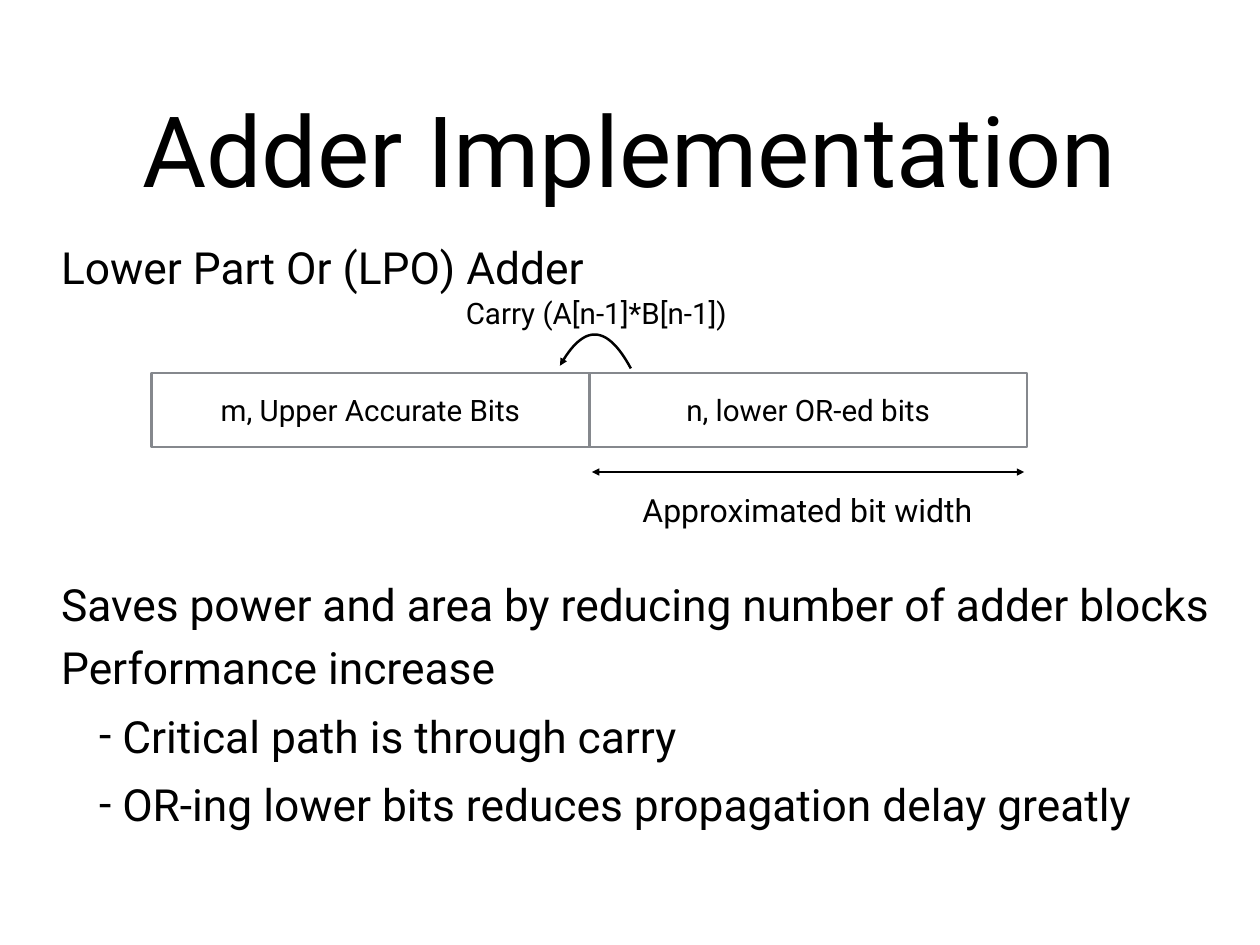
from lxml import etree
from pptx import Presentation
from pptx.dml.color import RGBColor
from pptx.enum.shapes import MSO_CONNECTOR, MSO_SHAPE
from pptx.enum.text import MSO_ANCHOR, MSO_AUTO_SIZE, PP_ALIGN
from pptx.oxml.ns import qn
from pptx.util import Inches, Pt

RECT, LINE = MSO_SHAPE.RECTANGLE, MSO_CONNECTOR.STRAIGHT
LEFT, MID = PP_ALIGN.LEFT, PP_ALIGN.CENTER
TOP, CENTER = MSO_ANCHOR.TOP, MSO_ANCHOR.MIDDLE
FIXED = MSO_AUTO_SIZE.NONE
WIDE, HIGH = Inches(14.22), Inches(10.67)


def color(code):
    return RGBColor.from_string(code)


class Page:
    """Style and current slide; lengths are in a grid of 100 columns by 100 rows."""
    font, ink, edge = "Roboto", "000000", "85888D"
    inset, weight = Inches(0.06), Pt(2)

    def __init__(self, deck):
        self.slide = deck.slides.add_slide(deck.slide_layouts[1])
        self.shapes = self.slide.shapes

    def col(self, n):
        return round(WIDE * n / 100)

    def row(self, n):
        return round(HIGH * n / 100)

    def box(self, x, y, w, h):
        return self.col(x), self.row(y), self.col(w), self.row(h)

    def move(self, shape, area):
        shape.left, shape.top, shape.width, shape.height = self.box(*area)

    def frame(self, shape, anchor=CENTER, wrap=True):
        frame = shape.text_frame
        frame.auto_size, frame.word_wrap = FIXED, wrap
        frame.vertical_anchor = anchor
        frame.margin_left = frame.margin_right = self.inset
        frame.margin_top = frame.margin_bottom = self.inset
        return frame

    def put(self, para, text, size, align=LEFT):
        para.alignment = align
        run = para.add_run()
        run.text = text
        run.font.size, run.font.name = Pt(size), self.font
        run.font.color.rgb = color(self.ink)

    def title(self, area, text, size):
        shape = self.shapes.title
        self.move(shape, area)
        self.put(self.frame(shape).paragraphs[0], text, size, MID)

    def bullets(self, area, items, size):
        shape = self.slide.placeholders[1]
        self.move(shape, area)
        frame = self.frame(shape, TOP)
        for i, (text, gap, dash) in enumerate(items):
            para = frame.add_paragraph() if i else frame.paragraphs[0]
            self.put(para, text, size)
            para.space_before, para.line_spacing = Pt(gap), 1.0
            props = para._p.get_or_add_pPr()
            props.set("marL", str(Inches(0.69 if dash else 0)))
            props.set("indent", str(Inches(-0.26 if dash else 0)))
            if dash:
                etree.SubElement(props, qn("a:buFont")).set("typeface", self.font)
                etree.SubElement(props, qn("a:buChar")).set("char", "-")
            else:
                etree.SubElement(props, qn("a:buNone"))

    def label(self, area, text, size, align=LEFT):
        shape = self.shapes.add_textbox(*self.box(*area))
        self.put(self.frame(shape, wrap=False).paragraphs[0], text, size, align)

    def cell(self, area, text, size):
        shape = self.shapes.add_shape(RECT, *self.box(*area))
        shape.shadow.inherit = False
        shape.fill.background()
        self.stroke(shape, self.edge)
        self.put(self.frame(shape).paragraphs[0], text, size, MID)

    def stroke(self, shape, code, ends=()):
        shape.line.width = self.weight
        shape.line.color.rgb = color(code)
        outline = shape._element.spPr.find(qn("a:ln"))
        for end in ends:
            etree.SubElement(outline, qn("a:" + end)).set("type", "triangle")

    def span(self, left, right, y):
        line = self.shapes.add_connector(
            LINE, self.col(left), self.row(y), self.col(right), self.row(y))
        self.stroke(line, self.ink, ("headEnd", "tailEnd"))
        etree.SubElement(line._element.spPr, qn("a:effectLst"))

    def curve(self, knots, steps=32):
        dots = []
        for i in range(steps + 1):
            t = i / steps
            u = 1 - t
            parts = (u ** 3, 3 * u * u * t, 3 * u * t * t, t ** 3)
            dots.append((self.col(sum(p * x for p, (x, _) in zip(parts, knots))),
                         self.row(sum(p * y for p, (_, y) in zip(parts, knots)))))
        arc = self.shapes.build_freeform(*dots[0])
        arc.add_line_segments(dots[1:], close=False)
        shape = arc.convert_to_shape()
        shape.shadow.inherit = False
        shape.fill.background()
        self.stroke(shape, self.ink, ("tailEnd",))


def main():
    deck = Presentation()
    deck.slide_width, deck.slide_height = WIDE, HIGH
    page = Page(deck)

    # Title and heading
    page.title((7.31, 4.59, 85.37, 22.12), "Adder Implementation", 80)
    page.label((4.43, 24.93, 43.53, 6.65), "Lower Part Or (LPO) Adder", 36)

    # Adder word, split in two equal parts
    left, width = 12.03, 34.74
    for i, text in enumerate(("m, Upper Accurate Bits", "n, lower OR-ed bits")):
        page.cell((left + i * width, 39.46, width, 7.87), text, 24)

    # Carry from the lower part to the upper part
    page.curve(((50.07, 38.99), (48.17, 34.3), (46.34, 34.21), (44.44, 38.71)))
    page.label((35.94, 30.65, 22.78, 4.78), "Carry (A[n-1]*B[n-1])", 24, MID)

    # Width of the lower part
    page.span(46.98, 81.29, 49.95)
    page.label((50.49, 51.45, 27.22, 5.06), "Approximated bit width", 26, MID)

    # Benefits: text, space before, dashed or not
    page.bullets((4.43, 60.54, 94.73, 27.46), (
        ("Saves power and area by reducing number of adder blocks", 0, False),
        ("Performance increase", 8, False),
        ("Critical path is through carry", 12.5, True),
        ("OR-ing lower bits reduces propagation delay greatly", 12.5, True),
    ), 36)

    deck.save("out.pptx")


if __name__ == "__main__":
    main()
